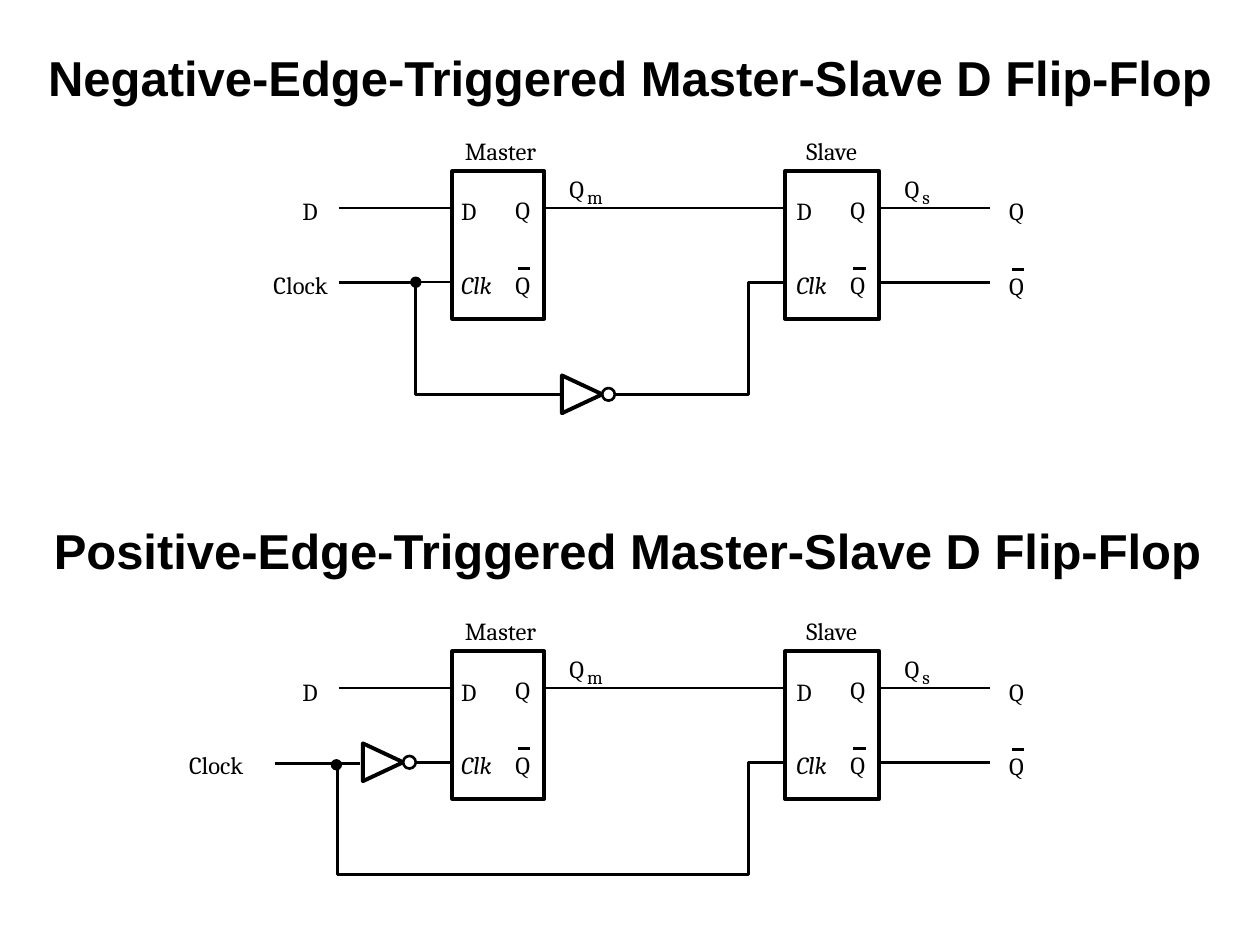
from dataclasses import dataclass

from pptx import Presentation
from pptx import util as u
from pptx.dml.color import RGBColor
from pptx.enum import shapes, text
from pptx.oxml.xmlchemy import OxmlElement


@dataclass(frozen=True)
class Theme:
    """Colours, fonts, type sizes and line widths of the slide."""
    ink: RGBColor = RGBColor(0, 0, 0)
    paper: RGBColor = RGBColor(255, 255, 255)
    title_font: str = "Arial"
    label_font: str = "Cambria"
    title: float = 28
    label: float = 14
    sub: float = 11
    heavy: float = 2.25
    wire: float = 1.5
    bar: float = 1.38
    thin: float = 0.75


T = Theme()
LEFT, RIGHT = 3.59, 6.23
D_Y, CLK_Y, LOOP_Y = 1.65, 2.24, 3.13


def style(sp, fill, width):
    """Give a shape its fill and outline, without a shadow."""
    sp.shadow.inherit = False
    if fill is None:
        sp.fill.background()
    else:
        sp.fill.solid()
        sp.fill.fore_color.rgb = fill
    sp.line.color.rgb = T.ink
    sp.line.width = u.Pt(width)


def add_preset(g, kind, x, y, w, h, fill, width):
    """Draw a preset shape."""
    sp = g.shapes.add_shape(kind, *map(u.Inches, (x, y, w, h)))
    style(sp, fill, width)


def add_wire(g, x1, y1, x2, y2, width=T.wire):
    """Draw one straight wire."""
    c = g.shapes.add_connector(shapes.MSO_CONNECTOR.STRAIGHT,
                               *map(u.Inches, (x1, y1, x2, y2)))
    c.line.color.rgb = T.ink
    c.line.width = u.Pt(width)
    c.element.spPr.append(OxmlElement("a:effectLst"))


def add_path(g, points, fill=None, width=T.wire, close=False):
    """Draw an outline through points."""
    pts = [(u.Inches(x), u.Inches(y)) for x, y in points]
    fb = g.shapes.build_freeform(*pts[0])
    fb.add_line_segments(pts[1:], close=close)
    style(fb.convert_to_shape(), fill, width)


def add_text(s, x, y, w, h, words, frame, font, align=None):
    """Place one line of text."""
    tf = s.shapes.add_textbox(*map(u.Inches, (x, y, w, h))).text_frame
    for name, value in frame.items():
        setattr(tf, name, value)
    p = tf.paragraphs[0]
    p.alignment = align
    r = p.add_run()
    r.text = words
    for name, value in font.items():
        setattr(r.font, name, value)
    r.font.color.rgb = T.ink


def add_title(s, x, y, words):
    """Place a bold centred heading."""
    add_text(s, x, y, 10, 0.67, words, {"word_wrap": True},
             {"name": T.title_font, "size": u.Pt(T.title), "bold": True},
             text.PP_ALIGN.CENTER)


def add_label(g, x, y, words, w=0.27, h=0.26, size=T.label, italic=False):
    """Place a diagram label with no margins."""
    frame = {"margin_left": 0, "margin_right": 0, "margin_top": 0,
             "margin_bottom": 0, "word_wrap": False,
             "auto_size": text.MSO_AUTO_SIZE.SHAPE_TO_FIT_TEXT}
    add_text(g, x, y, w, h, words, frame,
             {"name": T.label_font, "size": u.Pt(size), "italic": italic})


def add_q_bar(g, x, y):
    """Place a Q with a bar above it."""
    add_label(g, x, y, "Q")
    add_wire(g, x + 0.02, y - 0.01, x + 0.12, y - 0.01, T.bar)


def add_latch(g, x, y, w, name, name_x, name_w, pin_x, q_x, sub, sub_w):
    """Draw a D latch with its pins and the name of its output."""
    add_preset(g, shapes.MSO_SHAPE.RECTANGLE, x, y + 1.36, w, 1.17,
               T.paper, T.heavy)
    add_label(g, name_x, y + 1.08, name, name_w)
    add_label(g, pin_x, y + 1.56, "D")
    add_label(g, pin_x, y + 2.14, "Clk", 0.32, 0.23, italic=True)
    add_label(g, q_x, y + 1.55, "Q")
    add_q_bar(g, q_x, y + 2.14)
    out_x = x + w + 0.2
    add_label(g, out_x, y + 1.38, "Q")
    add_label(g, out_x + 0.14, y + 1.47, sub, sub_w, 0.21, T.sub)


def add_inverter(g, x, y):
    """Draw a NOT gate whose input is at x, y."""
    add_path(g, [(x + 0.32, y), (x, y + 0.15), (x, y - 0.15)],
             T.paper, T.heavy, close=True)
    add_preset(g, shapes.MSO_SHAPE.OVAL, x + 0.32, y - 0.05, 0.1, 0.1,
               T.paper, T.wire)


def add_junction(g, x, y):
    """Draw a wire junction centred at x, y."""
    add_preset(g, shapes.MSO_SHAPE.OVAL, x - 0.04, y - 0.04, 0.08, 0.08,
               T.ink, T.thin)


def add_flip_flop(g, y, clock_x):
    """Draw the two latches and the wiring that both circuits share."""
    for x1, x2, row in ((2.69, LEFT, D_Y), (4.32, RIGHT, D_Y),
                        (6.98, 7.86, D_Y), (6.98, 7.86, CLK_Y)):
        add_wire(g, x1, y + row, x2, y + row)
    add_path(g, [(RIGHT, y + CLK_Y), (5.94, y + CLK_Y),
                 (5.94, y + LOOP_Y), (5.07, y + LOOP_Y)])
    add_latch(g, LEFT, y, 0.73, "Master", 3.69, 0.62, 3.66, 4.09, "m", 0.22)
    add_latch(g, RIGHT, y, 0.75, "Slave", 6.4, 0.56, 6.32, 6.75, "s", 0.16)
    add_label(g, 2.4, y + 1.56, "D")
    add_label(g, clock_x, y + 2.14, "Clock", 0.59)
    add_label(g, 8.01, y + 1.56, "Q")
    add_q_bar(g, 8.01, y + 2.15)


def add_negative_edge(g, y):
    """Draw the circuit with the inverter before the slave clock."""
    add_flip_flop(g, y, 2.17)
    add_path(g, [(2.69, y + CLK_Y), (3.3, y + CLK_Y),
                 (3.3, y + LOOP_Y), (4.17, y + LOOP_Y)])
    add_wire(g, 3.3, y + CLK_Y, LEFT, y + CLK_Y, T.bar)
    add_wire(g, 4.17, y + LOOP_Y, 4.46, y + LOOP_Y)
    add_wire(g, 4.84, y + LOOP_Y, 5.07, y + LOOP_Y)
    add_inverter(g, 4.46, y + LOOP_Y)
    add_junction(g, 3.3, y + CLK_Y)


def add_positive_edge(g, y):
    """Draw the circuit with the inverter before the master clock."""
    add_flip_flop(g, y, 1.5)
    clock_y = y + 2.25
    add_path(g, [(2.18, clock_y), (2.68, clock_y),
                 (2.68, y + LOOP_Y), (3.41, y + LOOP_Y)])
    add_wire(g, 3.37, y + LOOP_Y, 5.17, y + LOOP_Y)
    add_wire(g, 2.57, clock_y, 2.86, clock_y, T.bar)
    add_wire(g, 3.29, y + CLK_Y, LEFT, y + CLK_Y, T.bar)
    add_inverter(g, 2.88, y + CLK_Y)
    add_junction(g, 2.67, clock_y + 0.01)


def main():
    """Build the slide and save it."""
    prs = Presentation()
    prs.slide_width, prs.slide_height = u.Inches(10), u.Inches(7.5)
    s = prs.slides.add_slide(prs.slide_layouts[6])
    add_negative_edge(s.shapes.add_group_shape(), 0)
    add_title(s, 0, 0.33, "Negative-Edge-Triggered Master-Slave D Flip-Flop")
    add_title(s, -0.02, 4.08, "Positive-Edge-Triggered Master-Slave D Flip-Flop")
    add_positive_edge(s.shapes.add_group_shape(), 3.81)
    prs.save("out.pptx")


if __name__ == "__main__":
    main()
